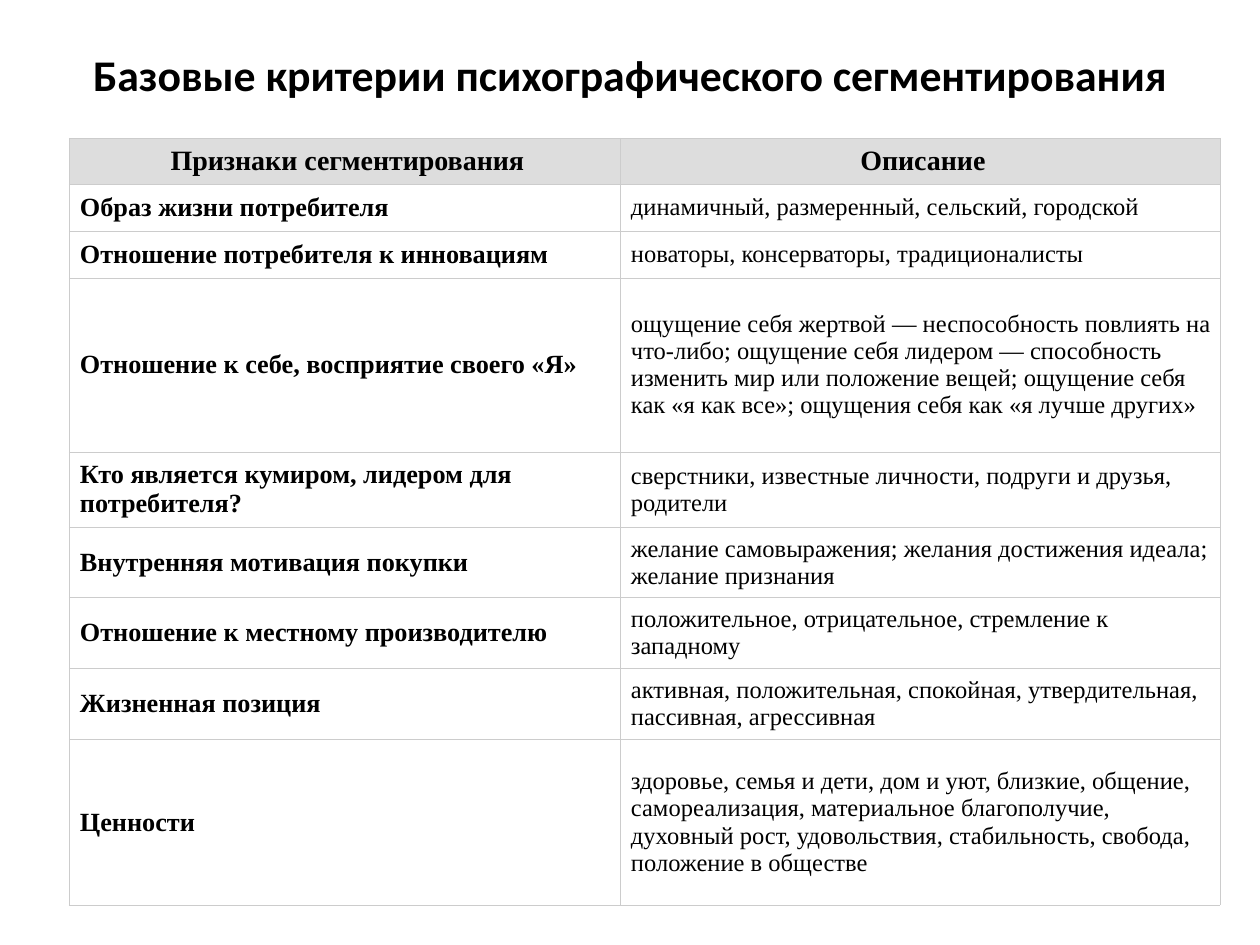
from lxml.etree import SubElement
from pptx import Presentation
from pptx.dml.color import RGBColor
from pptx.enum.text import MSO_ANCHOR, PP_ALIGN
from pptx.oxml.ns import qn
from pptx.util import Emu, Pt

BLACK = RGBColor(0x00, 0x00, 0x00)
HEADER_GRAY = RGBColor(0xDD, 0xDD, 0xDD)
BORDER_GRAY = RGBColor(0xCC, 0xCC, 0xCC)

HEADERS = ("Признаки сегментирования", "Описание")
CRITERIA = [
    ("Образ жизни потребителя", "динамичный, размеренный, сельский, городской"),
    ("Отношение потребителя к инновациям", "новаторы, консерваторы, традиционалисты"),
    ("Отношение к себе, восприятие своего «Я»",
     "ощущение себя жертвой — неспособность повлиять на что-либо; "
     "ощущение себя лидером — способность изменить мир или положение вещей; "
     "ощущение себя как «я как все»; ощущения себя как «я лучше других»"),
    ("Кто является кумиром, лидером для потребителя?",
     "сверстники, известные личности, подруги и друзья, родители"),
    ("Внутренняя мотивация покупки",
     "желание самовыражения; желания достижения идеала; желание признания"),
    ("Отношение к местному производителю",
     "положительное, отрицательное, стремление к западному"),
    ("Жизненная позиция",
     "активная, положительная, спокойная, утвердительная, пассивная, агрессивная"),
    ("Ценности",
     "здоровье, семья и дети, дом и уют, близкие, общение, самореализация, "
     "материальное благополучие, духовный рост, удовольствия, стабильность, "
     "свобода, положение в обществе"),
]
COL_WIDTHS = (551, 600)
ROW_HEIGHTS = (46, 47, 47, 174, 71, 67, 68, 67, 166)


def px(n):
    return Emu(round(n * 914400 / 126))


class SlideBuilder:
    title_font = "Calibri"
    table_font = "Times New Roman"

    def __init__(self, prs):
        self.s = prs.slides.add_slide(prs.slide_layouts[6])

    def text(self, tf, text, font, size, bold, align):
        p = tf.paragraphs[0]
        p.text = text
        p.alignment = align
        p.font.name = font
        p.font.size = Pt(size)
        p.font.bold = bold
        p.font.color.rgb = BLACK

    def title(self, text, x, y, w, h):
        tf = self.s.shapes.add_textbox(px(x), px(y), px(w), px(h)).text_frame
        tf.word_wrap = True
        tf.vertical_anchor = MSO_ANCHOR.MIDDLE
        tf.margin_left = tf.margin_right = tf.margin_top = tf.margin_bottom = 0
        self.text(tf, text, self.title_font, 25, True, PP_ALIGN.CENTER)

    def borders(self, cell):
        tcPr = cell._tc.get_or_add_tcPr()
        for i, side in enumerate(("a:lnL", "a:lnR", "a:lnT", "a:lnB")):
            ln = SubElement(tcPr, qn(side), w=str(Pt(0.34)))
            fill = SubElement(ln, qn("a:solidFill"))
            SubElement(fill, qn("a:srgbClr"), val=str(BORDER_GRAY))
            tcPr.insert(i, ln)

    def cell(self, cell, text, size, bold, header):
        cell.vertical_anchor = MSO_ANCHOR.MIDDLE
        cell.margin_left = px(9 if header else 11)
        cell.margin_right = px(3)
        cell.margin_top = cell.margin_bottom = px(6)
        if header:
            cell.fill.solid()
            cell.fill.fore_color.rgb = HEADER_GRAY
        else:
            cell.fill.background()
        self.borders(cell)
        align = PP_ALIGN.CENTER if header else PP_ALIGN.LEFT
        self.text(cell.text_frame, text, self.table_font, size, bold, align)

    def table(self, headers, rows, x, y, widths, heights):
        table = self.s.shapes.add_table(
            len(heights), len(widths), px(x), px(y),
            px(sum(widths)), px(sum(heights))).table
        table.first_row = table.horz_banding = False
        for column, w in zip(table.columns, widths):
            column.width = px(w)
        for row, h in zip(table.rows, heights):
            row.height = px(h)
        for c, text in enumerate(headers):
            self.cell(table.cell(0, c), text, 16, True, True)
        for r, (criterion, description) in enumerate(rows, 1):
            self.cell(table.cell(r, 0), criterion, 15, True, False)
            self.cell(table.cell(r, 1), description, 14, False, False)


def main():
    prs = Presentation()
    prs.slide_width, prs.slide_height = px(1260), px(945)
    slide = SlideBuilder(prs)

    # Title
    slide.title("Базовые критерии психографического сегментирования", 63, 38, 1134, 71)

    # Criteria table
    slide.table(HEADERS, CRITERIA, 69, 138, COL_WIDTHS, ROW_HEIGHTS)

    prs.save("out.pptx")


if __name__ == "__main__":
    main()
